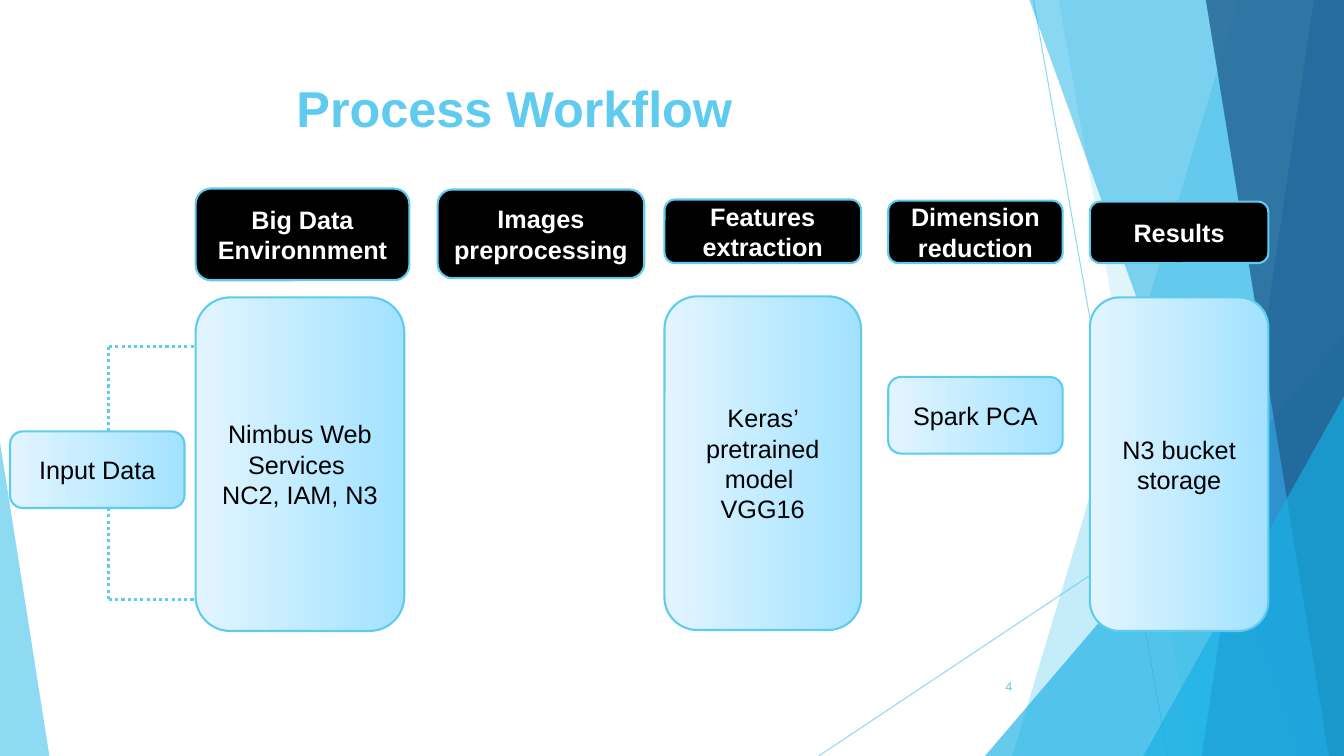
"""Build the Process Workflow slide with its faceted backdrop."""
import dataclasses
import pptx
import pptx.dml.color
import pptx.enum.dml
import pptx.enum.shapes
import pptx.enum.text
import pptx.oxml
import pptx.oxml.ns
import pptx.util

Inches = pptx.util.Inches
Pt = pptx.util.Pt
Rgb = pptx.dml.color.RGBColor.from_string
Kind = pptx.enum.shapes.MSO_SHAPE
Align = pptx.enum.text.PP_ALIGN
Dash = pptx.enum.dml.MSO_LINE
qn = pptx.oxml.ns.qn


@dataclasses.dataclass(frozen=True)
class Theme:
    font: str = "Arial"
    sky: str = "5FCBEF"
    aqua: str = "17B0E4"
    blue: str = "2E83C3"
    navy: str = "226292"
    pale: str = "E2F5FF"
    light: str = "A2E2FF"
    black: str = "000000"
    white: str = "FFFFFF"
    title: int = 36
    label: int = 18
    small: int = 9


theme = Theme()


def write(frame, lines, size, color, align, bold=False):
    frame.word_wrap = True
    frame.vertical_anchor = pptx.enum.text.MSO_ANCHOR.MIDDLE
    for i, line in enumerate(lines):
        para = frame.paragraphs[0] if i == 0 else frame.add_paragraph()
        para.alignment = align
        run = para.add_run()
        run.text = line
        run.font.name = theme.font
        run.font.size = Pt(size)
        run.font.bold = bold
        run.font.color.rgb = Rgb(color)


def fade(shape, fill, color, alpha):
    fill.solid()
    fill.fore_color.rgb = Rgb(color)
    for node in shape.element.iter(qn("a:srgbClr")):
        pptx.oxml.ns  
        node.append(pptx.oxml.parse_xml(
            f'<a:alpha {pptx.oxml.ns.nsdecls("a")} val="{alpha * 1000}"/>'))


deck = pptx.Presentation()
deck.slide_width = Inches(13.33)
deck.slide_height = Inches(7.5)
slide = deck.slides.add_slide(deck.slide_layouts[5])
shapes = slide.shapes
right, base = 13.33, 7.5

rays = [(10.25, 0, 11.58, base), (right, 4.03, 8.12, base)]
dots = [
    (1.08, 5.04, 1.08, 5.95),
    (1.08, 5.95, 2.17, 5.95),
    (1.08, 4.28, 1.08, 3.44),
    (2.17, 3.44, 1.08, 3.44),
]
for ends in rays + dots:
    link = shapes.add_connector(
        pptx.enum.shapes.MSO_CONNECTOR.STRAIGHT, *map(Inches, ends))
    link.element.spPr.append(pptx.oxml.parse_xml(
        f'<a:effectLst {pptx.oxml.ns.nsdecls("a")}/>'))
    if ends in rays:
        link.line.width = Pt(0.75)
        fade(link, link.line.fill, theme.sky, 70)
    else:
        link.line.width = Pt(2.25)
        link.line.color.rgb = Rgb(theme.sky)
        link.line.dash_style = Dash.ROUND_DOT

facets = [
    ("band", (12.28, 10.04), theme.sky, 36),
    ("band", (10.5, 11.83), theme.sky, 20),
    ("peak", (9.77, 3.33, 3.56, 1), theme.aqua, 66),
    ("band", (10.21, 12.91), theme.aqua, 50),
    ("band", (13.03, 11.92), theme.blue, 70),
    ("band", (11.96, 13.18), theme.navy, 80),
    ("peak", (11.34, 3.93, 1.99, 1), theme.aqua, 66),
    ("peak", (0, 4.39, 0.49, 0), theme.sky, 70),
]
for kind, spot, color, alpha in facets:
    if kind == "band":
        top, foot = spot
        path = shapes.build_freeform(Inches(top), 0)
        path.add_line_segments([
            (Inches(x), Inches(y))
            for x, y in [(right, 0), (right, base), (foot, base)]])
        facet = path.convert_to_shape()
    else:
        x, y, wide, tip = spot
        facet = shapes.add_shape(
            Kind.ISOSCELES_TRIANGLE, *map(Inches, (x, y, wide, base - y)))
        facet.adjustments[0] = tip
    facet.shadow.inherit = False
    facet.line.fill.background()
    fade(facet, facet.fill, color, alpha)

title = shapes.title
title.left, title.top = Inches(2.84), Inches(0.68)
title.width, title.height = Inches(9.75), Inches(0.77)
write(title.text_frame, ["Process Workflow"], theme.title, theme.sky,
      Align.LEFT, True)

page = shapes.add_textbox(*map(Inches, (9.39, 6.61, 0.75, 0.4)))
write(page.text_frame, ["4"], theme.small, theme.sky, Align.RIGHT)

heads = [
    ((1.94, 1.87, 2.12, 0.91), ["Big Data Environnment"]),
    ((4.34, 1.88, 2.05, 0.88), ["Images preprocessing"]),
    ((6.59, 1.98, 1.95, 0.63), ["Features extraction"]),
    ((8.81, 1.99, 1.73, 0.62), ["Dimension reduction"]),
    ((10.81, 2, 1.77, 0.61), ["Results"]),
]
steps = [
    ((0.1, 4.28, 1.73, 0.76), ["Input Data"]),
    ((1.94, 2.95, 2.07, 3.31), ["Nimbus Web Services ", "NC2, IAM, N3"]),
    ((6.59, 2.94, 1.95, 3.31), ["Keras’ pretrained model ", "VGG16"]),
    ((8.81, 3.74, 1.73, 0.76), ["Spark PCA"]),
    ((10.81, 2.95, 1.77, 3.31), ["N3 bucket storage"]),
]
for group in (heads, steps):
    for spot, lines in group:
        box = shapes.add_shape(Kind.ROUNDED_RECTANGLE, *map(Inches, spot))
        box.shadow.inherit = False
        box.line.color.rgb = Rgb(theme.sky)
        box.line.width = Pt(1.5)
        if group is heads:
            box.fill.solid()
            box.fill.fore_color.rgb = Rgb(theme.black)
            ink = theme.white
        else:
            box.fill.gradient()
            box.fill.gradient_angle = 0
            for stop, tone in zip(box.fill.gradient_stops,
                                  (theme.pale, theme.light)):
                stop.color.rgb = Rgb(tone)
            ink = theme.black
        write(box.text_frame, lines, theme.label, ink, Align.CENTER,
              group is heads)

deck.save("out.pptx")
